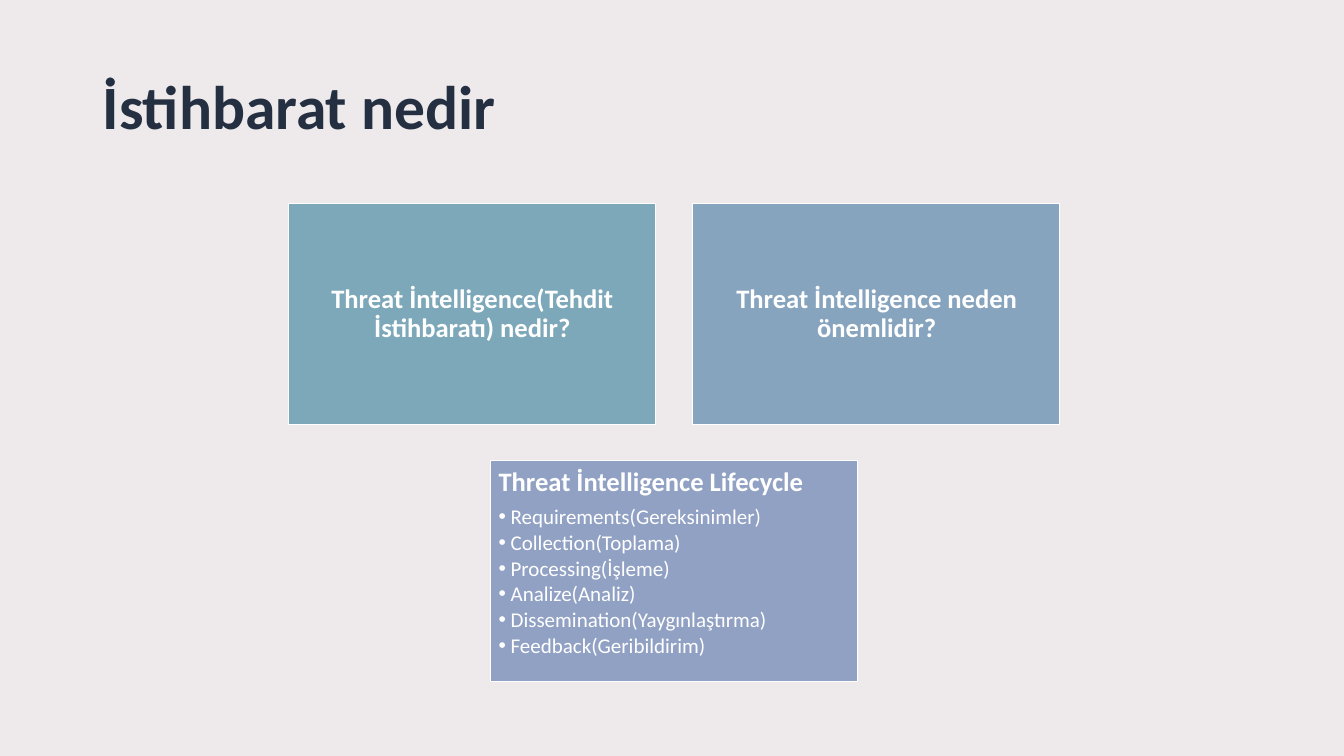
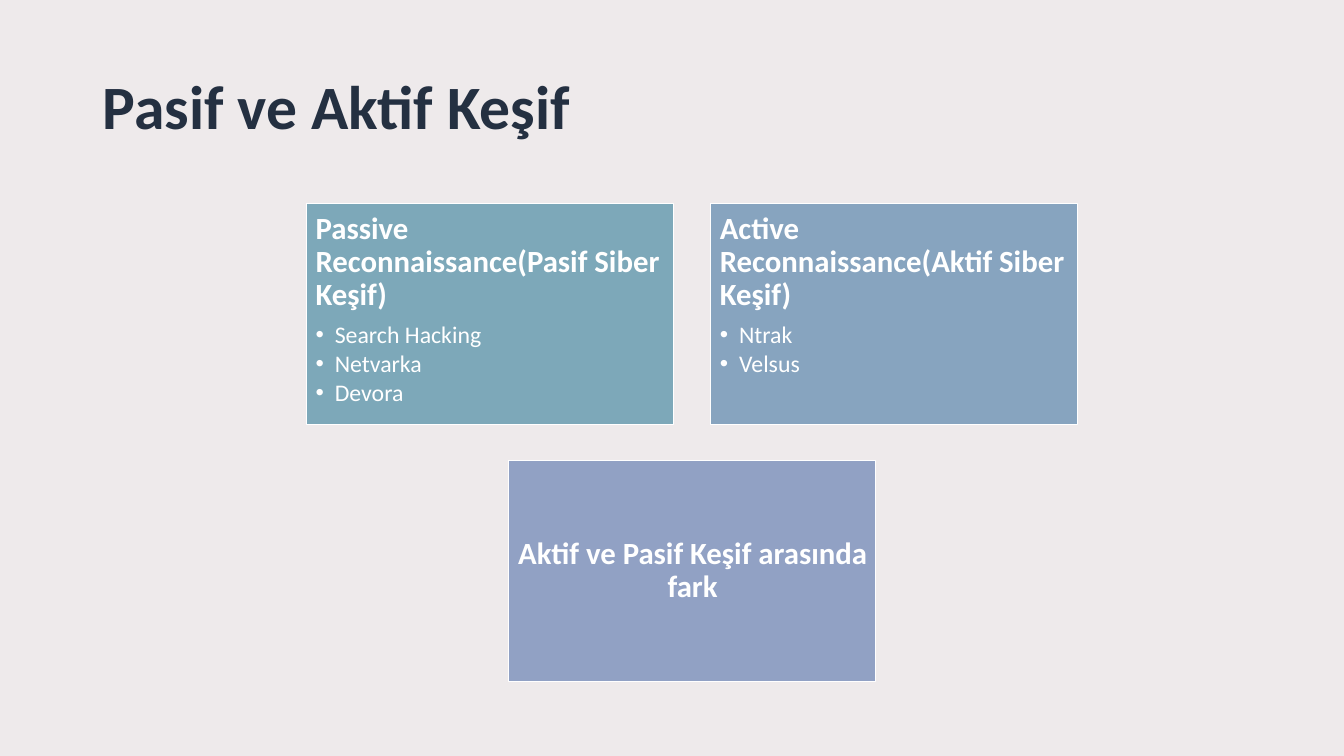
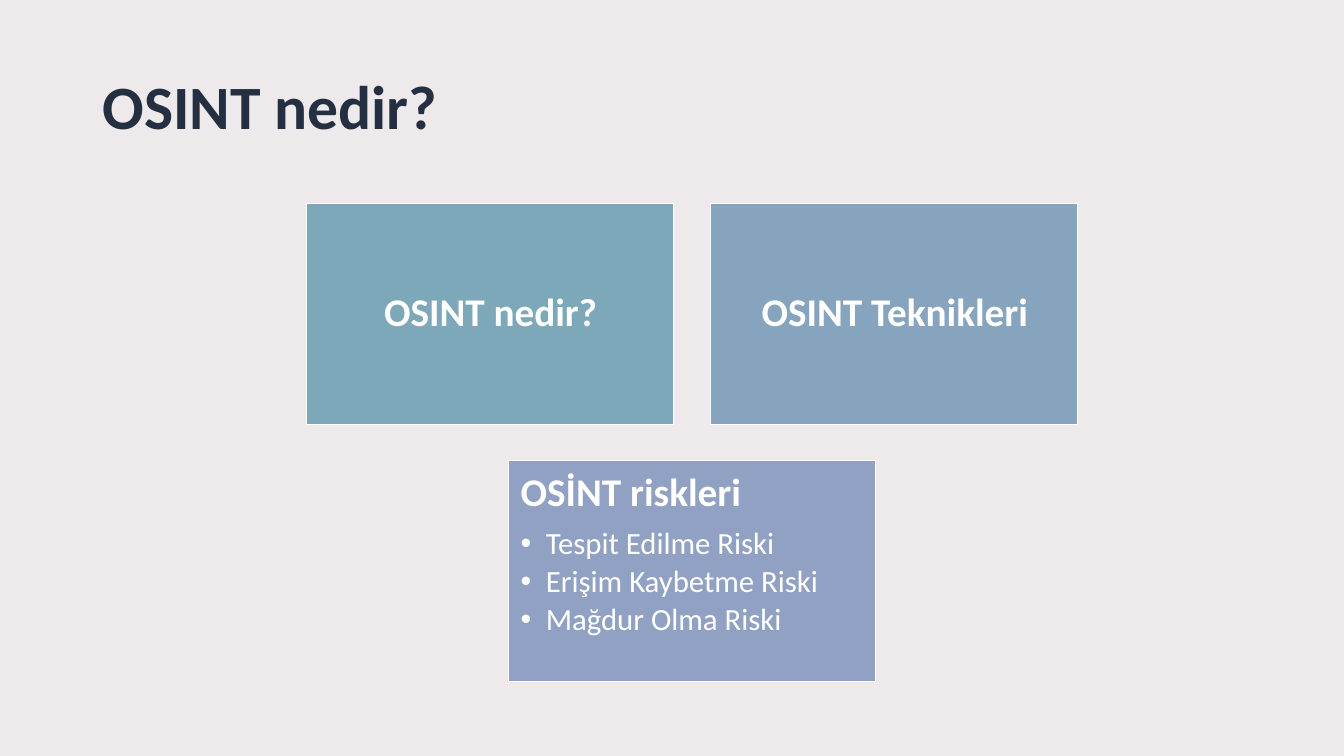
from dataclasses import dataclass

from lxml.etree import SubElement
from pptx import Presentation
from pptx.dml.color import RGBColor
from pptx.enum.shapes import MSO_SHAPE
from pptx.enum.text import MSO_ANCHOR, PP_ALIGN
from pptx.oxml.ns import qn
from pptx.util import Inches, Pt


@dataclass(frozen=True)
class Theme:
    font: str = "Calibri"
    bullet_font: str = "Arial"
    veil: RGBColor = RGBColor.from_string("E8E2E3")
    veil_opacity: int = 70
    title: RGBColor = RGBColor.from_string("243041")
    light: RGBColor = RGBColor.from_string("FFFFFF")
    cards: tuple = tuple(map(RGBColor.from_string, ("7DA8B9", "87A4BF", "91A1C4")))
    title_size: int = 44


theme = Theme()

# Card grid: two cards above, one centred below
CARD_WIDTH, CARD_HEIGHT = 3.64, 2.19
COLUMN_STEP, ROW_STEP, GRID_TOP = 4.01, 2.55, 2.02
CARD_CELLS = ((0, 0), (1, 0), (0.5, 1))

# Each card is a heading and its bullet points
slides = [
    dict(title="İstihbarat nedir", left=2.86, inset=0.08, indent=0.12,
         heading_size=19, point_size=15, cards=[
             ("Threat İntelligence(Tehdit İstihbaratı) nedir?", []),
             ("Threat İntelligence neden önemlidir?", []),
             ("Threat İntelligence Lifecycle",
              ["Requirements(Gereksinimler)", "Collection(Toplama)",
               "Processing(İşleme)", "Analize(Analiz)",
               "Dissemination(Yaygınlaştırma)", "Feedback(Geribildirim)"]),
         ]),
    dict(title="Pasif ve Aktif Keşif", left=3.04, inset=0.09, indent=0.19,
         heading_size=22, point_size=17, cards=[
             ("Passive Reconnaissance(Pasif Siber Keşif)",
              ["Search Hacking", "Netvarka", "Devora"]),
             ("Active Reconnaissance(Aktif Siber Keşif)", ["Ntrak", "Velsus"]),
             ("Aktif ve Pasif Keşif arasında fark", []),
         ]),
    dict(title="OSINT nedir?", left=3.04, inset=0.12, indent=0.25,
         heading_size=28, point_size=22, cards=[
             ("OSINT nedir?", []),
             ("OSINT Teknikleri", []),
             ("OSİNT riskleri",
              ["Tespit Edilme Riski", "Erişim Kaybetme Riski", "Mağdur Olma Riski"]),
         ]),
]


def write(para, text, size, color, bold=False):
    para.text = text
    para.font.name = theme.font
    para.font.size = Pt(size)
    para.font.bold = bold
    para.font.color.rgb = color


def add_bullet(para, indent):
    para.level = 1
    properties = para._p.get_or_add_pPr()
    properties.set("marL", str(Inches(indent)))
    properties.set("indent", str(-Inches(indent)))
    SubElement(properties, qn("a:buFont")).set("typeface", theme.bullet_font)
    SubElement(properties, qn("a:buChar")).set("char", "•")


deck = Presentation()
deck.slide_width, deck.slide_height = Inches(13.33), Inches(7.5)

for content in slides:
    page = deck.slides.add_slide(deck.slide_layouts[6])

    # Backdrop: white sheet under a translucent veil
    for color, opacity in ((theme.light, 100), (theme.veil, theme.veil_opacity)):
        sheet = page.shapes.add_shape(
            MSO_SHAPE.RECTANGLE, 0, 0, deck.slide_width, deck.slide_height)
        sheet.shadow.inherit = False
        sheet.line.fill.background()
        sheet.fill.solid()
        sheet.fill.fore_color.rgb = color
        if opacity < 100:
            tint = sheet.fill._xPr.find(".//" + qn("a:srgbClr"))
            SubElement(tint, qn("a:alpha")).set("val", str(opacity * 1000))

    # Title
    title = page.shapes.add_textbox(Inches(0.92), Inches(0.62), Inches(11.32), Inches(1.4))
    title.text_frame.word_wrap = True
    write(title.text_frame.paragraphs[0], content["title"],
          theme.title_size, theme.title, bold=True)

    # Cards
    for (heading, points), (column, row), color in zip(
            content["cards"], CARD_CELLS, theme.cards):
        card = page.shapes.add_shape(
            MSO_SHAPE.RECTANGLE,
            Inches(content["left"] + column * COLUMN_STEP),
            Inches(GRID_TOP + row * ROW_STEP),
            Inches(CARD_WIDTH), Inches(CARD_HEIGHT))
        card.shadow.inherit = False
        card.fill.solid()
        card.fill.fore_color.rgb = color
        card.line.color.rgb = theme.light
        card.line.width = Pt(1)

        # The right margin is slightly narrower so long headings fit
        frame = card.text_frame
        frame.word_wrap = True
        frame.margin_left = frame.margin_top = frame.margin_bottom = Inches(content["inset"])
        frame.margin_right = Inches(content["inset"] - 0.01)
        frame.vertical_anchor = MSO_ANCHOR.TOP if points else MSO_ANCHOR.MIDDLE

        # Heading, centred when it stands alone
        para = frame.paragraphs[0]
        write(para, heading, content["heading_size"], theme.light, bold=True)
        para.alignment = PP_ALIGN.LEFT if points else PP_ALIGN.CENTER
        para.line_spacing = 0.9
        para.space_after = Pt(content["heading_size"] * 0.33)

        # Bullet points
        for point in points:
            para = frame.add_paragraph()
            add_bullet(para, content["indent"])
            write(para, point, content["point_size"], theme.light)
            para.alignment = PP_ALIGN.LEFT
            para.line_spacing = 0.9
            para.space_after = Pt(content["point_size"] * 0.15)

deck.save("out.pptx")
